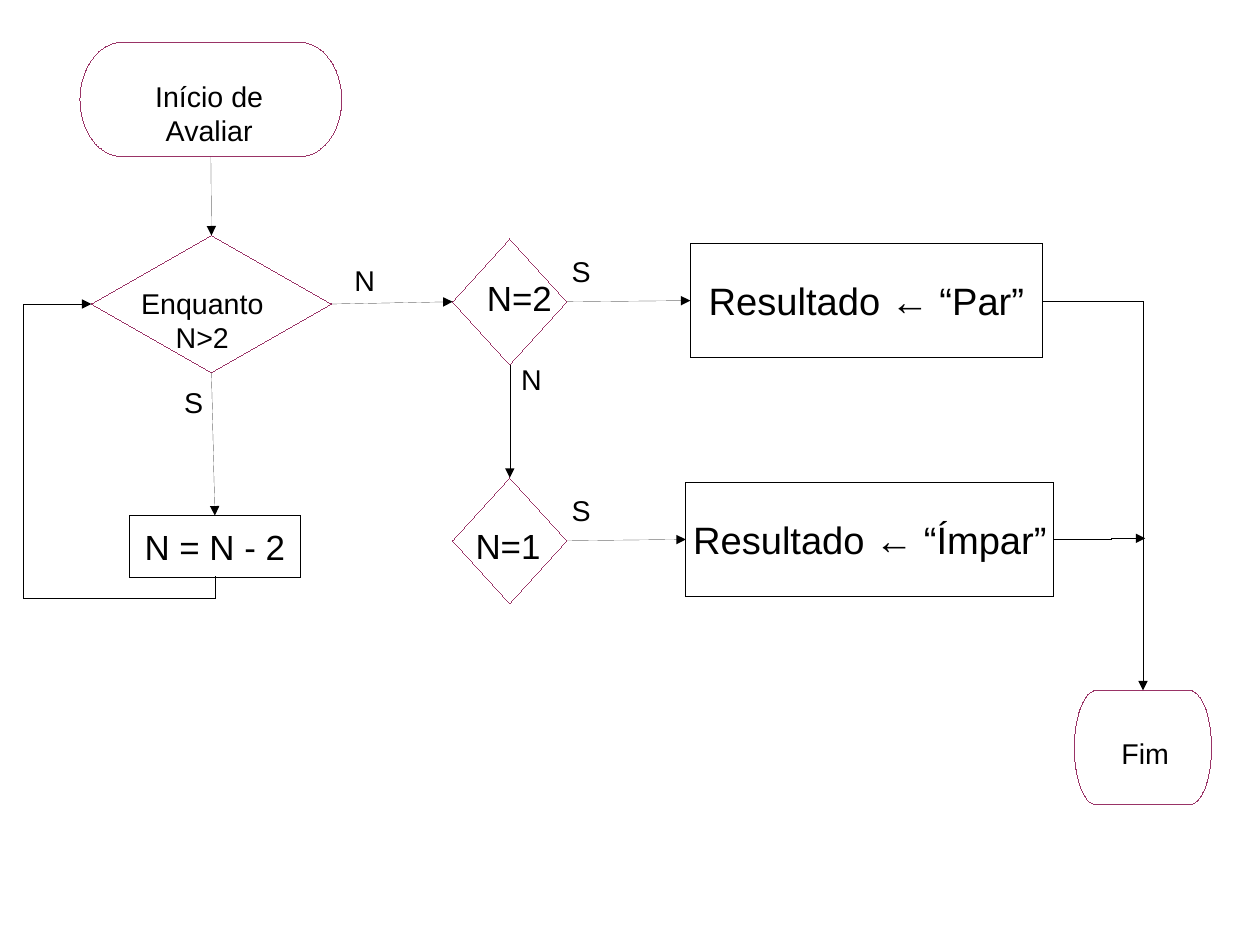
import pptx
import pptx.util
import pptx.dml.color
import pptx.enum.shapes
import pptx.enum.text
import pptx.oxml
import pptx.oxml.ns

Inches = pptx.util.Inches
SHAPE = pptx.enum.shapes.MSO_SHAPE
LINK = pptx.enum.shapes.MSO_CONNECTOR
BLACK = pptx.dml.color.RGBColor(0x00, 0x00, 0x00)
PLUM = pptx.dml.color.RGBColor(0x99, 0x33, 0x66)
TOP, LEFT, BOTTOM, RIGHT = range(4)  # connection sites


def make(tag, inner=""):
    names = pptx.oxml.ns.nsdecls("a")
    return pptx.oxml.parse_xml(f"<a:{tag} {names}>{inner}</a:{tag}>")


def thin(shape, color):
    """Give the shape a hairline and return its line element."""
    shape.line.color.rgb = color
    line = shape.element.spPr.find(pptx.oxml.ns.qn("a:ln"))
    line.set("w", "0")
    return line


def write(shape, text, size):
    frame = shape.text_frame
    frame.text = text
    frame.margin_left = frame.margin_right = 0
    frame.margin_top = frame.margin_bottom = 0
    line = frame.paragraphs[0]
    line.alignment = pptx.enum.text.PP_ALIGN.CENTER
    font = line.runs[0].font
    font.name = "Arial"
    font.size = pptx.util.Pt(size)
    font.color.rgb = BLACK


def add_label(slide, text, left, top, width, size=18):
    height = 0.28 if size == 18 else 0.34
    box = slide.shapes.add_textbox(*map(Inches, (left, top, width, height)))
    write(box, text, size)
    box.text_frame.word_wrap = False
    box.text_frame.auto_size = pptx.enum.text.MSO_AUTO_SIZE.SHAPE_TO_FIT_TEXT


def add_node(slide, kind, left, top, width, height, color=PLUM):
    node = slide.shapes.add_shape(kind, *map(Inches, (left, top, width, height)))
    node.shadow.inherit = False
    node.fill.background()
    thin(node, color)
    return node


def add_step(slide, text, size, left, top, width, height):
    step = add_node(slide, SHAPE.RECTANGLE, left, top, width, height, BLACK)
    write(step, text, size)
    step.text_frame.word_wrap = True
    step.text_frame.vertical_anchor = pptx.enum.text.MSO_ANCHOR.MIDDLE
    return step


def add_line(slide, kind, x1, y1, x2, y2):
    """Add a black hairline with an arrowhead at its end."""
    link = slide.shapes.add_connector(kind, *map(Inches, (x1, y1, x2, y2)))
    head = make("tailEnd")
    head.set("type", "triangle")
    thin(link, BLACK).append(head)
    link.element.spPr.append(make("effectLst"))
    return link


def join(slide, start, start_site, end, end_site):
    link = add_line(slide, LINK.STRAIGHT, 0, 0, 1, 1)
    link.begin_connect(start, start_site)
    link.end_connect(end, end_site)


def add_bend(slide, x1, y1, x2, y2, preset, bends=(), turn=0):
    """Add an elbow; bends maps guides to percent, turn is in degrees."""
    link = add_line(slide, LINK.ELBOW, x1, y1, x2, y2)
    props = link.element.spPr
    if turn:
        props.find(pptx.oxml.ns.qn("a:xfrm")).set("rot", str(turn * 60000))
    shape = props.find(pptx.oxml.ns.qn("a:prstGeom"))
    shape.set("prst", preset)
    for old in list(shape):
        shape.remove(old)
    guides = "".join(f'<a:gd name="adj{i}" fmla="val {round(bend * 1000)}"/>'
                     for i, bend in enumerate(bends, 1))
    shape.append(make("avLst", guides))


def draw_loop(slide, left, top):
    """Draw the start and the loop; return the loop's decision."""
    start = add_node(slide, SHAPE.FLOWCHART_TERMINATOR, left + 0.5, top, 2.29, 1)
    add_label(slide, "Início de Avaliar", left + 0.75, top + 0.32, 1.76)
    check = add_node(slide, SHAPE.DIAMOND, left + 0.6, top + 1.69, 2.1, 1.2)
    add_label(slide, "Enquanto N>2", left + 0.77, top + 2.13, 1.6)
    step = add_step(slide, "N = N - 2", 22, left + 0.93, top + 4.14, 1.5, 0.54)
    add_label(slide, "N", left + 2.8, top + 1.93, 0.38)
    add_label(slide, "S", left + 1.41, top + 3, 0.17)
    join(slide, start, BOTTOM, check, TOP)
    join(slide, check, BOTTOM, step, TOP)
    add_bend(slide, left - 0.05, top + 4.02, left + 2.33, top + 2.94,
             "bentConnector4", (-8.3, 155.3), 270)
    return check


def draw_test(slide, left, top, text, shift, width, result, gap, span):
    """Draw one test with its result; shift and width place the test's text."""
    test = add_node(slide, SHAPE.FLOWCHART_DECISION, left, top, 1, 1.1)
    add_label(slide, text, left + 0.2, top + shift, width, 22)
    add_label(slide, "S", left + 1.04, top + 0.13, 0.17)
    step = add_step(slide, result, 24, left + 1 + gap, top + 0.04, span, 1)
    join(slide, test, RIGHT, step, LEFT)
    return test


def draw_end(slide, left, top):
    add_node(slide, SHAPE.FLOWCHART_TERMINATOR, left, top, 1.2, 1)
    add_label(slide, "Fim", left + 0.41, top + 0.4, 0.42)
    add_bend(slide, left - 0.28, top - 3.41, left + 0.6, top, "bentConnector2")
    add_bend(slide, left - 0.18, top - 1.32, left + 0.62, top - 1.33,
             "bentConnector3", (62.2,))


def main():
    deck = pptx.Presentation()
    deck.slide_width = pptx.util.Cm(28)
    deck.slide_height = pptx.util.Cm(21)
    slide = deck.slides.add_slide(deck.slide_layouts[6])
    check = draw_loop(slide, 0.2, 0.37)
    even = draw_test(slide, 3.96, 2.09, "N=2", 0.33, 0.77,
                     "Resultado ← “Par”", 1.08, 3.08)
    odd = draw_test(slide, 3.96, 4.18, "N=1", 0.41, 0.57,
                    "Resultado ← “Ímpar”", 1.04, 3.22)
    join(slide, check, RIGHT, even, LEFT)
    join(slide, even, BOTTOM, odd, TOP)
    add_label(slide, "N", 4.56, 3.17, 0.18)
    draw_end(slide, 9.4, 6.04)
    deck.save("out.pptx")


if __name__ == "__main__":
    main()
